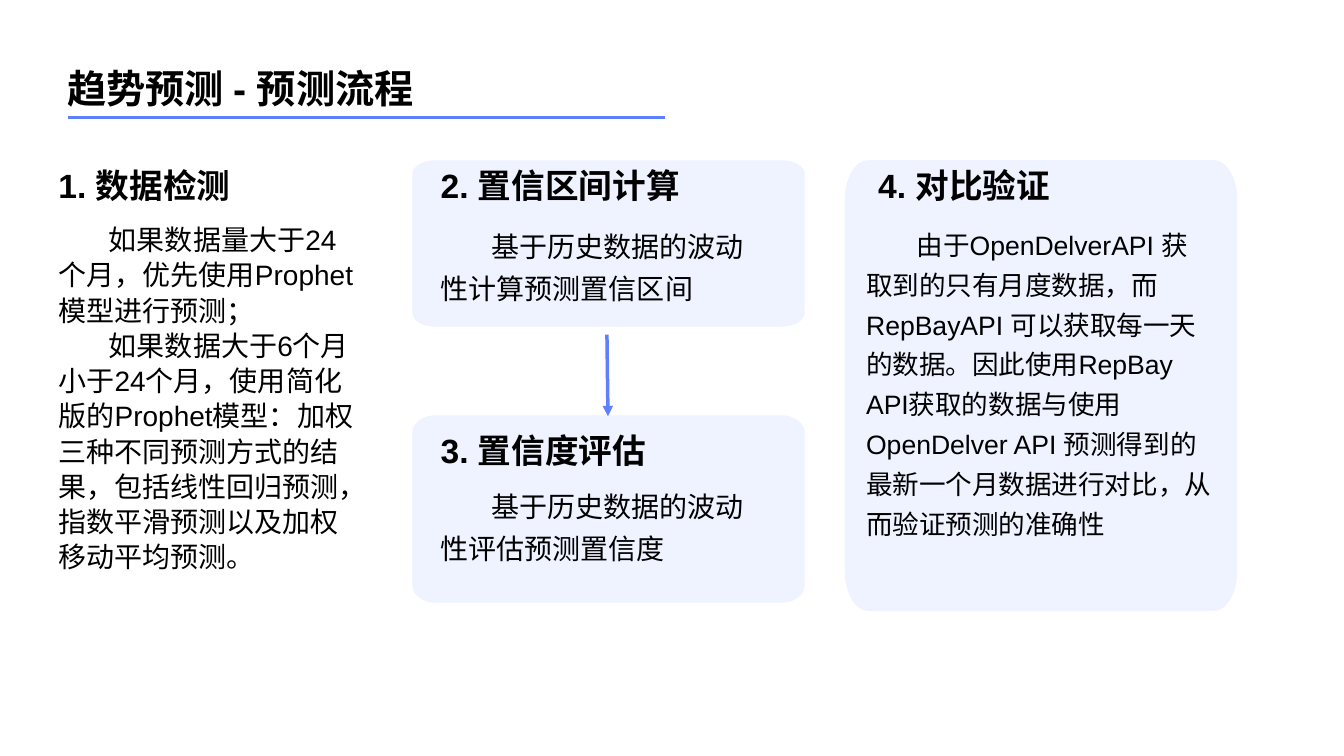
from lxml.etree import SubElement
from pptx import Presentation
from pptx.dml.color import RGBColor
from pptx.enum.shapes import MSO_CONNECTOR as Link
from pptx.enum.text import MSO_ANCHOR as Anchor
from pptx.oxml.ns import qn
from pptx.util import Pt

PX = 9144  # 100 px to the inch
BLACK = RGBColor(0, 0, 0)
BLUE = RGBColor(0x5E, 0x80, 0xFE)
PALE = RGBColor(0xEF, 0xF2, 0xFF)

deck = Presentation()
deck.slide_width, deck.slide_height = 1333 * PX, 750 * PX
slide = deck.slides.add_slide(deck.slide_layouts[6])
shapes = slide.shapes


def add_text(box, text, size, space, bold=False, indent=0):
    frame = shapes.add_textbox(*[n * PX for n in box]).text_frame
    frame.word_wrap = True
    frame.vertical_anchor = Anchor.TOP
    frame.margin_left = frame.margin_right = 0
    frame.margin_top = frame.margin_bottom = 0
    frame.text = text
    for para in frame.paragraphs:
        para.line_spacing = space
        if indent:
            props = para._p.get_or_add_pPr()
            props.set("marL", "0")
            props.set("indent", str(indent * PX))
        for run in para.runs:
            font = run.font
            font.name, font.size, font.bold = "Arial", Pt(size), bold
            font.color.rgb = BLACK


def add_line(start, end, width):
    line = shapes.add_connector(
        Link.STRAIGHT, *[n * PX for n in (*start, *end)])
    line.line.color.rgb = BLUE
    line.line.width = Pt(width)
    SubElement(line._element.spPr, qn("a:effectLst"))
    return line


# Title
add_text((67, 59, 500, 67), "趋势预测 - 预测流程", 28, 1.11, bold=True)
add_line((67, 117), (660, 117), 2)

# Panels with elliptical corners: left, top, width, height, corner height
WIDE = 23
panels = [
    (409, 159, 389, 165, 14),
    (409, 412, 389, 186, 17),
    (838, 159, 389, 447, 39),
]
for left, top, width, height, tall in panels:
    right, low = left + width, top + height
    points = [
        (left, top + tall), (left + WIDE, top),
        (right - WIDE, top), (right, top + tall),
        (right, low - tall), (right - WIDE, low),
        (left + WIDE, low), (left, low - tall),
    ]
    outline = shapes.build_freeform(*points[0], scale=PX)
    outline.add_line_segments(points[1:], close=True)
    panel = outline.convert_to_shape()
    panel.shadow.inherit = False
    panel.fill.solid()
    panel.fill.fore_color.rgb = PALE
    panel.line.fill.background()

    # Every other segment is a corner: bend it into a curve
    segments = list(panel._element.iter(qn("a:lnTo")))
    edges = [(left, top), (right, top), (right, low), (left, low)]
    for k, (x, y) in enumerate(edges):
        old = segments[2 * k]
        curve = old.makeelement(qn("a:cubicBezTo"))
        start, end = points[2 * k], points[2 * k + 1]
        for px, py in (start, end):
            SubElement(curve, qn("a:pt"),
                       x=str(round(px + (x - px) * 0.55) - left),
                       y=str(round(py + (y - py) * 0.55) - top))
        curve.append(old[0])
        old.getparent().replace(old, curve)

# Step headings
heads = [
    (58, 159, "1. 数据检测"),
    (437, 159, "2. 置信区间计算"),
    (437, 422, "3. 置信度评估"),
    (871, 159, "4. 对比验证"),
]
for left, top, text in heads:
    add_text((left, top, 322, 46), text, 24, 1.11, bold=True)

# Step details
bodies = [
    ((58, 219, 301, 379), 20, 1.05,
     "如果数据量大于24个月，优先使用Prophet模型进行预测；\n"
     "如果数据大于6个月小于24个月，使用简化版的Prophet模型："
     "加权三种不同预测方式的结果，包括线性回归预测，"
     "指数平滑预测以及加权移动平均预测。"),
    ((437, 219, 322, 103), 20, 1.25,
     "基于历史数据的波动性计算预测置信区间"),
    ((437, 477, 322, 103), 20, 1.25,
     "基于历史数据的波动性评估预测置信度"),
    ((859, 219, 345, 379), 19, 1.25,
     "由于OpenDelverAPI 获取到的只有月度数据，而RepBayAPI "
     "可以获取每一天的数据。因此使用RepBay API获取的数据与使用 "
     "OpenDelver API 预测得到的最新一个月数据进行对比，"
     "从而验证预测的准确性"),
]
for box, size, space, text in bodies:
    add_text(box, text, size, space, indent=50)

# Arrow from step 2 to step 3
arrow = add_line((602, 332), (603, 413), 2.5)
SubElement(arrow.line._get_or_add_ln(), qn("a:tailEnd"), type="triangle")

deck.save("out.pptx")
